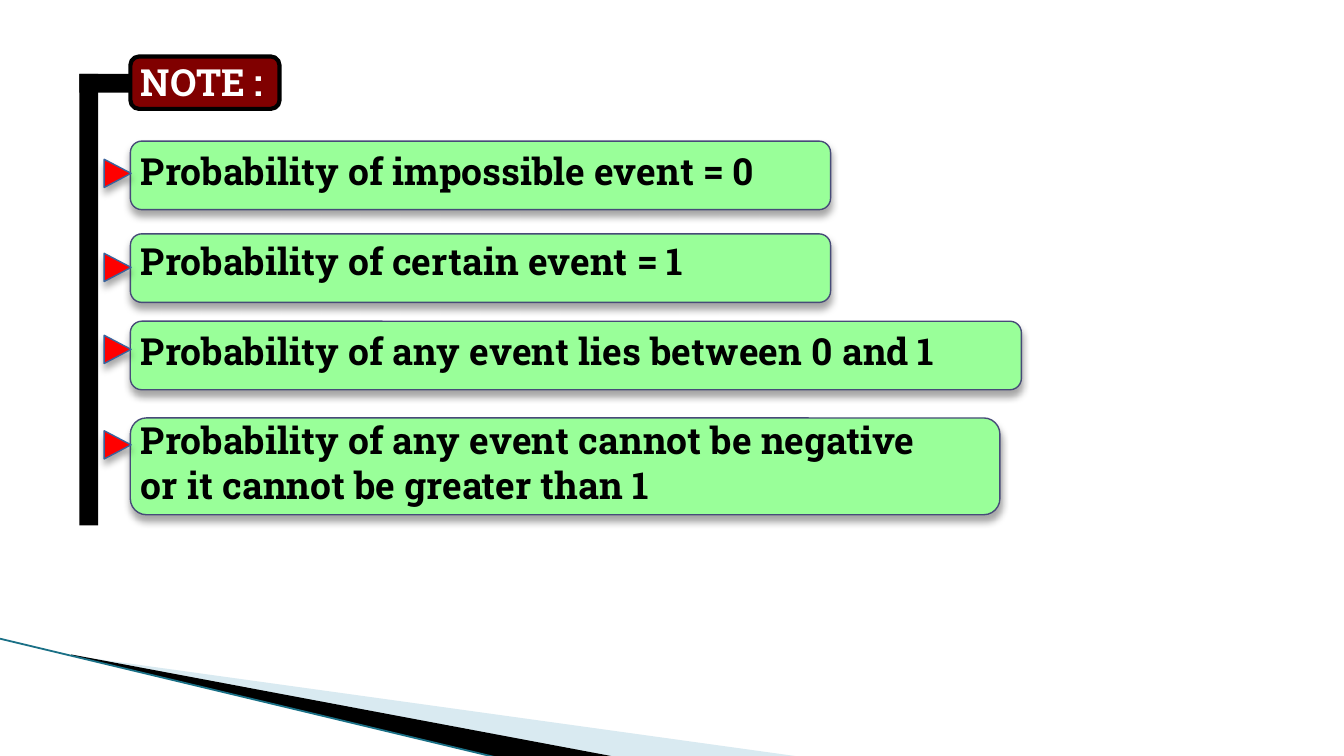
from lxml import etree
from pptx import Presentation
from pptx.dml.color import RGBColor
from pptx.enum import shapes, text
from pptx.oxml import ns
from pptx.util import Inches, Pt

COLORS = {
    "black": "000000", "white": "FFFFFF", "maroon": "800000",
    "green": "99FF99", "green_edge": "474B78",
    "red": "FF0000", "red_edge": "39639D",
    "pale_blue": "A0CBDC", "teal": "1A7086",
}
A = ns.nsdecls("a")
SHADOW = (
    f'<a:effectLst {A}><a:outerShdw blurRad="50800" dist="38100" dir="5400000" '
    'rotWithShape="0"><a:srgbClr val="000000"><a:alpha val="35000"/></a:srgbClr>'
    "</a:outerShdw></a:effectLst>"
)


def color(name):
    return RGBColor.from_string(COLORS[name])


def style(shape, fill, edge=None, width=0.75, shadow=False):
    shape.fill.solid()
    shape.fill.fore_color.rgb = color(fill)
    if edge:
        shape.line.color.rgb = color(edge)
        shape.line.width = Pt(width)
    else:
        shape.line.fill.background()
    shape.shadow.inherit = False
    if shadow:
        properties = shape._element.spPr
        properties.replace(properties.find(ns.qn("a:effectLst")), etree.fromstring(SHADOW))


deck = Presentation()
deck.slide_width, deck.slide_height = Inches(10), Inches(5.625)
page = deck.slides.add_slide(deck.slide_layouts[6])

# Corner decoration
wedges = [
    ("pale_blue", [(0.55, 4.88), (5.95, 5.63), (4.56, 5.63)]),
    ("black", [(0.53, 4.87), (4.57, 5.63), (3.72, 5.64), (0.54, 4.88)]),
]
for fill, points in wedges:
    corners = [(Inches(x), Inches(y)) for x, y in points]
    builder = page.shapes.build_freeform(*corners[0])
    builder.add_line_segments(corners[1:], close=True)
    wedge = builder.convert_to_shape()
    style(wedge, fill)
    if fill == "pale_blue":
        tint = wedge._element.spPr.find(".//" + ns.qn("a:srgbClr"))
        etree.SubElement(tint, ns.qn("a:alpha"), val="40000")

edge_line = page.shapes.add_connector(
    shapes.MSO_CONNECTOR.STRAIGHT, Inches(-0.01), Inches(4.75), Inches(3.71), Inches(5.64))
edge_line.line.color.rgb = color("teal")
edge_line.line.width = Pt(0.95)
etree.SubElement(edge_line._element.spPr, ns.qn("a:effectLst"))

# Green panels: top, width, height, top of the marker
panels = [
    (1.05, 5.21, 0.51, 1.19),
    (1.74, 5.21, 0.51, 1.89),
    (2.39, 6.63, 0.51, 2.5),
    (3.11, 6.47, 0.72, 3.21),
]
for top, width, height, marker_top in panels:
    panel = page.shapes.add_shape(
        shapes.MSO_SHAPE.ROUNDED_RECTANGLE,
        Inches(0.97), Inches(top), Inches(width), Inches(height))
    style(panel, "green", "green_edge", shadow=True)
    marker = page.shapes.add_shape(
        shapes.MSO_SHAPE.ISOSCELES_TRIANGLE,
        Inches(0.77), Inches(marker_top), Inches(0.21), Inches(0.2))
    marker.rotation = 90
    style(marker, "red", "red_edge", shadow=True)

# Bracket and heading plate
for width, height in [(1, 0.14), (0.14, 3.36)]:
    bar = page.shapes.add_shape(
        shapes.MSO_SHAPE.RECTANGLE, Inches(0.59), Inches(0.55), Inches(width), Inches(height))
    style(bar, "black")
plate = page.shapes.add_shape(
    shapes.MSO_SHAPE.ROUNDED_RECTANGLE, Inches(0.97), Inches(0.42), Inches(1.11), Inches(0.39))
style(plate, "maroon", "black", 2.25)

# Notes: wording, colour, space before
lines = [
    ("NOTE :", "white", 0),
    ("Probability of impossible event = 0", "black", 24),
    ("Probability of certain event = 1", "black", 24),
    ("Probability of any event lies between 0 and 1", "black", 24),
    ("Probability of any event cannot be negative", "black", 24),
    ("or it cannot be greater than 1", "black", 0),
]
box = page.shapes.add_textbox(Inches(0.95), Inches(0.39), Inches(7.25), Inches(3.47))
frame = box.text_frame
frame.word_wrap = True
frame.auto_size = text.MSO_AUTO_SIZE.SHAPE_TO_FIT_TEXT
for index, (wording, ink, gap) in enumerate(lines):
    para = frame.add_paragraph() if index else frame.paragraphs[0]
    para.text = wording
    para.space_before = Pt(gap)
    para.font.name = "Roboto Slab"
    para.font.size = Pt(20)
    para.font.bold = True
    para.font.color.rgb = color(ink)

deck.save("out.pptx")
